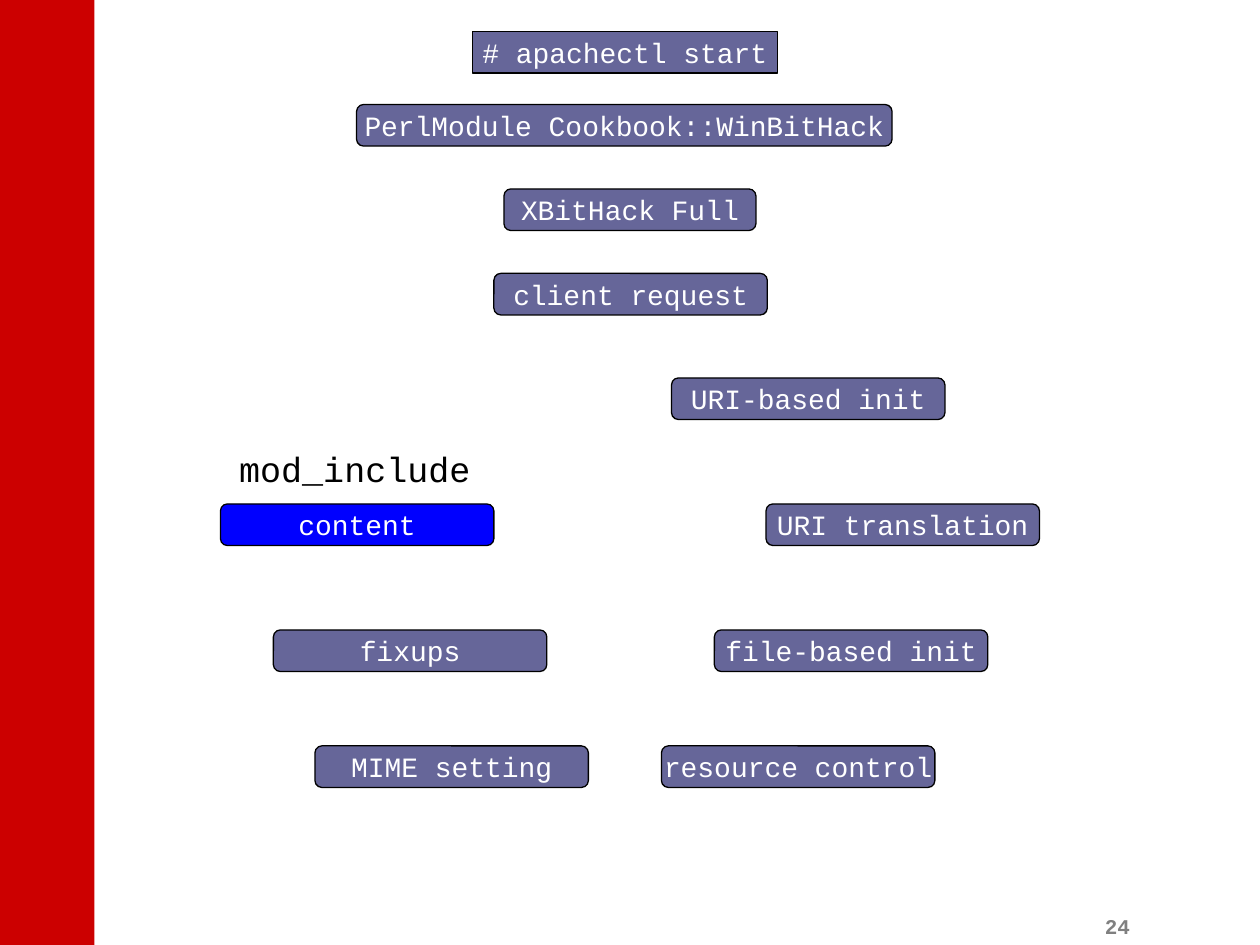
from pptx import Presentation
from pptx.dml.color import RGBColor
from pptx.enum import shapes, text
from pptx.util import Inches, Pt

FONT = "Courier New"
SLATE, BLUE, RED = "666699", "0000FF", "CC0000"
BLACK, WHITE, GREY = "000000", "FFFFFF", "808080"
STEP_HEIGHT = 0.33
PHASE_WIDTH = 2.17

# label, left, top, width
STARTUP_STEPS = [
    ("PerlModule Cookbook::WinBitHack", 2.83, 0.83, 4.25),
    ("XBitHack Full", 4, 1.5, 2),
]
COMMAND = ("# apachectl start", 3.75, 0.25, 2.42)

# label, left, top, fill: the request cycle, clockwise
REQUEST_PHASES = [
    ("client request", 3.92, 2.17, SLATE),
    ("URI-based init", 5.33, 3, SLATE),
    ("URI translation", 6.08, 4, SLATE),
    ("file-based init", 5.67, 5, SLATE),
    ("resource control", 5.25, 5.92, SLATE),
    ("MIME setting", 2.5, 5.92, SLATE),
    ("fixups", 2.17, 5, SLATE),
    ("content", 1.75, 4, BLUE),
]
HANDLER = "mod_include"
PAGE_NUMBER = "24"

RECT = shapes.MSO_SHAPE.RECTANGLE
ROUNDED = shapes.MSO_SHAPE.ROUNDED_RECTANGLE


def color(hex_value):
    return RGBColor.from_string(hex_value)


def write(shape, wording, size, hex_value, align, anchor, bold=False):
    frame = shape.text_frame
    frame.word_wrap = False
    frame.vertical_anchor = anchor
    paragraph = frame.paragraphs[0]
    paragraph.text = wording
    paragraph.alignment = align
    font = paragraph.font
    font.name, font.size, font.bold = FONT, Pt(size), bold
    font.color.rgb = color(hex_value)


def add_panel(slide, kind, left, top, width, height, fill):
    panel = slide.shapes.add_shape(kind, *map(Inches, (left, top, width, height)))
    panel.shadow.inherit = False
    panel.fill.solid()
    panel.fill.fore_color.rgb = color(fill)
    panel.line.fill.background()
    return panel


def add_step(slide, label, left, top, width, fill=SLATE, kind=ROUNDED):
    step = add_panel(slide, kind, left, top, width, STEP_HEIGHT, fill)
    step.line.color.rgb = color(BLACK)
    step.line.width = Pt(0.75)
    write(step, label, 16, WHITE, text.PP_ALIGN.CENTER, text.MSO_ANCHOR.MIDDLE)


def add_label(slide, wording, box, size, hex_value, anchor, bold=False):
    label = slide.shapes.add_textbox(*map(Inches, box))
    write(label, wording, size, hex_value, text.PP_ALIGN.LEFT, anchor, bold)


def main():
    prs = Presentation()
    prs.slide_width, prs.slide_height = Inches(10), Inches(7.5)
    slide = prs.slides.add_slide(prs.slide_layouts[6])

    add_label(slide, PAGE_NUMBER, (8.67, 7, 0.58, 0.5), 12, GREY,
              text.MSO_ANCHOR.BOTTOM, bold=True)
    add_panel(slide, RECT, 0, 0, 0.75, 7.5, RED)

    add_step(slide, *COMMAND, kind=RECT)
    for step in STARTUP_STEPS:
        add_step(slide, *step)
    for label, left, top, fill in REQUEST_PHASES:
        add_step(slide, label, left, top, PHASE_WIDTH, fill)

    add_label(slide, HANDLER, (1.8, 3.5, 2.04, 0.44), 20, BLACK,
              text.MSO_ANCHOR.TOP)
    prs.save("out.pptx")


if __name__ == "__main__":
    main()
